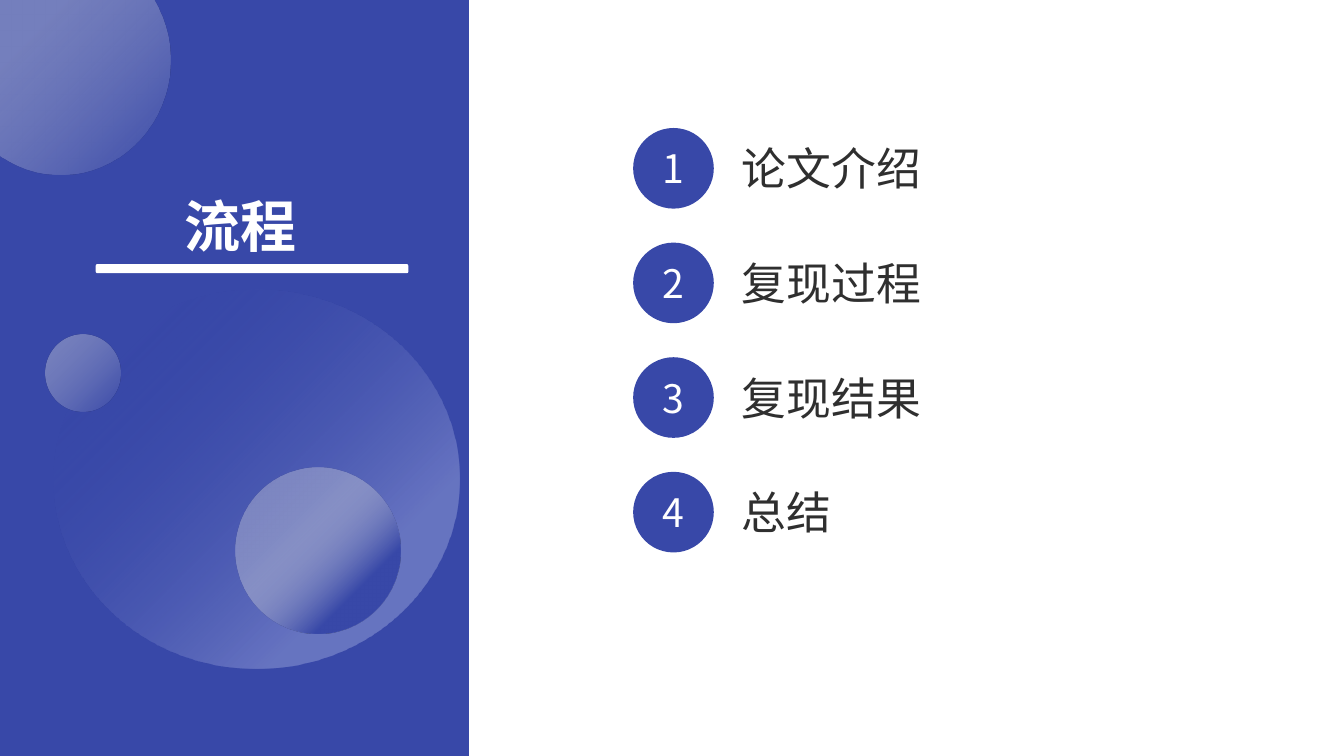
from math import cos, radians, sin

from pptx import Presentation
from pptx.dml.color import RGBColor
from pptx.enum.shapes import MSO_SHAPE as Preset
from pptx.enum.text import MSO_ANCHOR as Anchor, PP_ALIGN as Align
from pptx.oxml import parse_xml
from pptx.oxml.ns import nsdecls, qn
from pptx.util import Inches, Pt

FONT = "Noto Sans CJK SC"
COLORS = {
    "indigo": "3848A8",
    "lavender": "9EA8DF",
    "mist": "DDDEE0",
    "white": "FFFFFF",
    "ink": "2F2F2F",
}
DIAGONAL = '<a:lin ang="2700000" scaled="0"/>'
FROM_CORNER = '<a:path path="circle"><a:fillToRect l="100000" t="100000"/></a:path>'
SOFT_BUBBLE = [(20, "mist", 36), (100, "indigo", 55)]
AGENDA = ["论文介绍", "复现过程", "复现结果", "总结"]


def color(name):
    return RGBColor.from_string(COLORS[name])


def write(frame, text, size, ink, bold=False, align=Align.LEFT, anchor=Anchor.TOP):
    frame.word_wrap = True
    frame.vertical_anchor = anchor
    paragraph = frame.paragraphs[0]
    paragraph.alignment = align
    run = paragraph.add_run()
    run.text = text
    run.font.name = FONT
    run.font.size = Pt(size)
    run.font.bold = bold
    run.font.color.rgb = color(ink)
    east_asian = parse_xml(f'<a:ea {nsdecls("a")} typeface="{FONT}"/>')
    run.font._element.find(qn("a:latin")).addnext(east_asian)
    return paragraph


def add_solid(slide, preset, left, top, width, height, fill):
    shape = slide.shapes.add_shape(
        preset, Inches(left), Inches(top), Inches(width), Inches(height))
    shape.shadow.inherit = False
    shape.line.fill.background()
    shape.fill.solid()
    shape.fill.fore_color.rgb = color(fill)
    return shape


def apply_gradient(shape, stops, direction):
    marks = "".join(
        f'<a:gs pos="{position * 1000}"><a:srgbClr val="{COLORS[name]}">'
        f'<a:alpha val="{opacity * 1000}"/></a:srgbClr></a:gs>'
        for position, name, opacity in stops)
    gradient = parse_xml(
        f'<a:gradFill {nsdecls("a")} rotWithShape="1">'
        f'<a:gsLst>{marks}</a:gsLst>{direction}</a:gradFill>')
    properties = shape.element.spPr
    properties.replace(properties.find(qn("a:solidFill")), gradient)


def add_bubble(slide, left, top, width, height, stops, direction=DIAGONAL):
    bubble = add_solid(slide, Preset.OVAL, left, top, width, height, "indigo")
    apply_gradient(bubble, stops, direction)


def add_corner_bubble(slide):
    rim = [(Inches(0.6 + 1.09 * cos(radians(angle))),
            Inches(max(0, 0.6 + 1.13 * sin(radians(angle)))))
           for angle in range(-32, 124, 5)]
    outline = slide.shapes.build_freeform(0, 0)
    outline.add_line_segments(rim + [(0, Inches(1.54))], close=True)
    bubble = outline.convert_to_shape()
    bubble.shadow.inherit = False
    bubble.line.fill.background()
    bubble.fill.solid()
    apply_gradient(bubble, SOFT_BUBBLE, DIAGONAL)


def add_heading(slide, text):
    heading = slide.shapes.title
    heading.left, heading.top = Inches(0.72), Inches(1.95)
    heading.width, heading.height = Inches(3.33), Inches(0.65)
    paragraph = write(heading.text_frame, text, size=40, ink="white", bold=True,
                      align=Align.CENTER, anchor=Anchor.MIDDLE)
    paragraph.line_spacing = 0.9
    paragraph.space_before = Pt(10)
    slide.shapes.element.append(heading.element)


def add_agenda_item(slide, number, text):
    top = 1.27 + 1.137 * (number - 1)
    label = slide.shapes.add_textbox(
        Inches(7.26), Inches(top + 0.08), Inches(3.52), Inches(0.64))
    write(label.text_frame, text, size=32, ink="ink")
    badge = add_solid(slide, Preset.OVAL, 6.28, top, 0.8, 0.8, "indigo")
    write(badge.text_frame, str(number), size=28, ink="white",
          align=Align.CENTER, anchor=Anchor.MIDDLE)


def main():
    deck = Presentation()
    deck.slide_width, deck.slide_height = Inches(13.33), Inches(7.5)
    slide = deck.slides.add_slide(deck.slide_layouts[5])

    add_solid(slide, Preset.RECTANGLE, 0, 0, 4.65, 7.5, "indigo")
    add_bubble(slide, 0.53, 2.87, 4.03, 3.76,
               [(25, "lavender", 45), (83, "indigo", 0), (100, "indigo", 0)],
               FROM_CORNER)
    add_bubble(slide, 2.34, 4.64, 1.63, 1.64,
               [(34, "mist", 34), (74, "indigo", 100)])
    add_bubble(slide, 0.45, 3.32, 0.75, 0.76, SOFT_BUBBLE)
    add_corner_bubble(slide)
    add_solid(slide, Preset.ROUNDED_RECTANGLE, 0.95, 2.62, 3.1, 0.09, "white")
    add_heading(slide, "流程")
    for number, text in enumerate(AGENDA, start=1):
        add_agenda_item(slide, number, text)

    deck.save("out.pptx")


if __name__ == "__main__":
    main()
